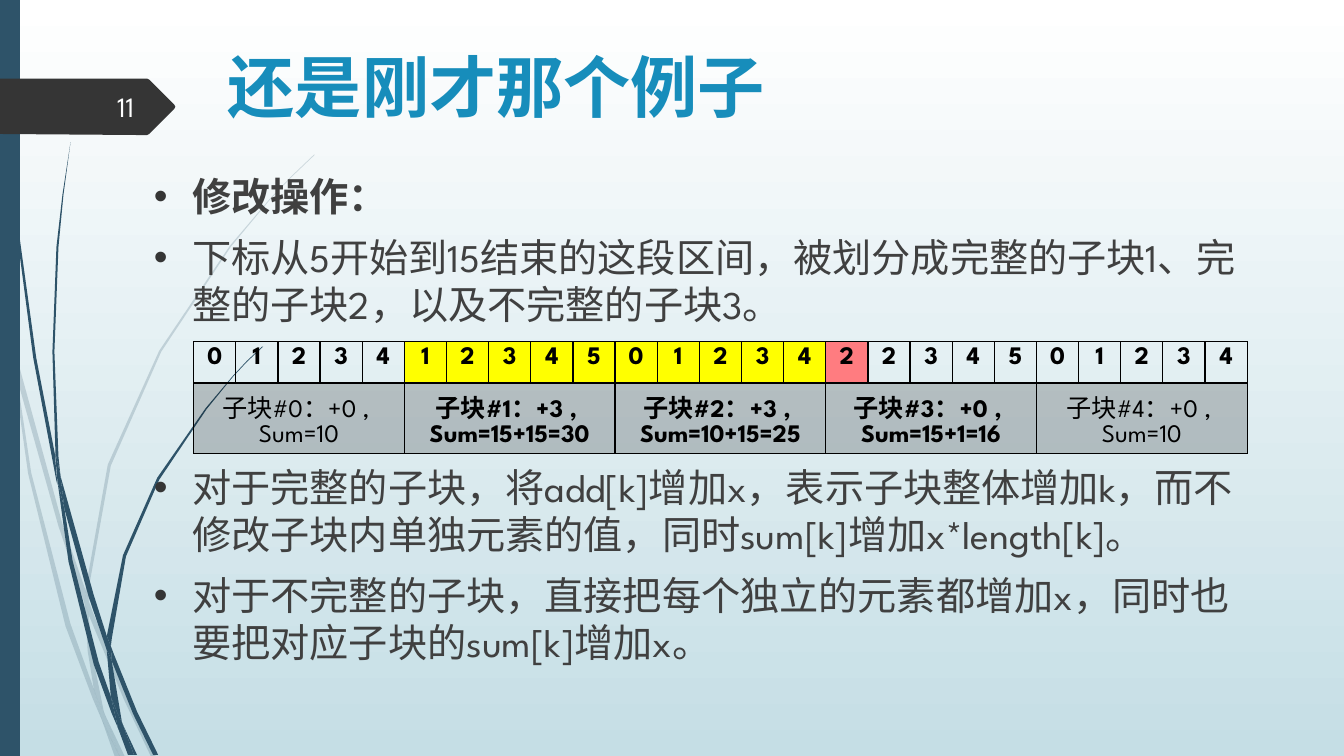
from lxml.etree import SubElement
from pptx import Presentation
from pptx.dml.color import RGBColor
from pptx.enum.shapes import MSO_SHAPE
from pptx.enum.text import MSO_ANCHOR, PP_ALIGN
from pptx.oxml.ns import qn
from pptx.util import Cm, Pt

HUES = {"navy": "2E5369", "dark": "353535", "title": "178DBB", "body": "404040",
        "light": "FEFFFF", "black": "000000", "yellow": "FFFF00", "red": "FF7C80",
        "top": "FFFFFF", "base": "C5DEE5"}
FACE = "League Spartan"

# Outlines in hundredths of an inch: x,y pairs
PALE = [
    "11,350 9,322 0,282 0,299 10,344",
    "58,522 84,599 85,586 62,520 14,345 17,376",
    "92,607 88,596 88,610 123,694 150,751 155,751 127,692",
    "119,751 124,751 105,711",
    "93,683 70,619 31,469 17,376 11,350 28,470 65,621 92,693 101,714 99,707",
    "84,599 87,646 93,683 96,692 105,711 103,706 91,646 88,610 88,608",
    "88,584 110,462 160,349 229,245 268,198 290,175 312,154 312,153 289,175 268,197 "
    "228,244 158,348 107,461 85,584 85,586 88,596",
    "101,714 114,751 119,751",
    "88,608 88,610 88,596 85,586 84,599",
    "96,692 93,683 99,707 101,714 119,751 105,711",
]
DEEP = [
    "7,110 17,233 33,355 56,477 57,481 55,457 55,453 36,355 19,232 8,109 5,48 4,0 3,0 4,48",
    "88,592 106,645 106,633 106,631 93,590 60,472 64,505",
    "113,649 110,641 111,656 132,708 152,749 157,749 136,706",
    "110,691 98,657 72,556 64,505 57,477 68,557 93,659 111,708 117,722 116,717",
    "60,472 58,453 54,349 58,245 63,193 70,141 62,193 56,245 52,349 55,449",
    "133,749 136,749 122,719",
    "57,477 64,505 60,472 55,449 55,453",
    "111,633 125,552 158,476 205,406 231,374 245,359 261,344 260,344 245,358 231,373 "
    "204,405 156,474 122,551 106,631 110,641",
    "117,722 127,749 131,749",
    "106,645 110,691 116,706 122,719 121,716 111,656 109,651",
    "106,645 109,651 111,656 110,641 106,631 106,633",
    "116,706 110,691 116,717 117,722 130,749 133,749 122,719",
]
TAG = "173,108 148,133 146,134 136,134 0,133 0,78 136,78 146,78 148,79 173,104 174,106"

# Body lines: text, bold, space before in points
LINES = [
    ("修改操作：", True, 0),
    ("下标从5开始到15结束的这段区间，被划分成完整的子块1、完整的子块2，以及不完整的子块3。", False, 10),
    ("对于完整的子块，将add[k]增加x，表示子块整体增加k，而不修改子块内单独元素的值，"
     "同时sum[k]增加x*length[k]。", False, 97),
    ("对于不完整的子块，直接把每个独立的元素都增加x，同时也要把对应子块的sum[k]增加x。", False, 10),
]
# Blocks: digits, add, sum, bold
BLOCKS = [("01234", "+0", "10", False), ("12345", "+3", "15+15=30", True),
          ("01234", "+3", "10+15=25", True), ("22345", "+0", "15+1=16", True),
          ("01234", "+0", "10", False)]


def tint(name):
    return RGBColor.from_string(HUES[name])


class Deck:
    def __init__(self):
        self.prs = Presentation()
        self.prs.slide_width, self.prs.slide_height = Cm(33.87), Cm(19.05)
        self.slide = self.prs.slides.add_slide(self.prs.slide_layouts[6])
        self.shapes = self.slide.shapes

    def back(self, top, base):
        fill = self.slide.background.fill
        fill.gradient()
        fill.gradient_angle = 270
        for stop, hue, spot in zip(fill.gradient_stops, (top, base), (0, 1)):
            stop.color.rgb = tint(hue)
            stop.position = spot

    def paint(self, item, root, hue, alpha=None):
        item.fill.solid()
        item.fill.fore_color.rgb = tint(hue)
        if alpha:
            mark = next(root.iter(qn("a:solidFill")))[0]
            SubElement(mark, qn("a:alpha"), val=str(alpha * 1000))

    def plain(self, shape, hue, alpha=None):
        self.paint(shape, shape.element, hue, alpha)
        shape.line.fill.background()
        shape.shadow.inherit = False

    def form(self, data, hue, alpha=None):
        spots = [tuple(map(int, pair.split(","))) for pair in data.split()]
        pen = self.shapes.build_freeform(*spots[0], scale=Cm(2.54) / 100)
        pen.add_line_segments(spots[1:], close=True)
        self.plain(pen.convert_to_shape(), hue, alpha)

    def rect(self, box, hue):
        self.plain(self.shapes.add_shape(MSO_SHAPE.RECTANGLE, *map(Cm, box)), hue)

    def text(self, para, text, hue, **style):
        run = para.add_run()
        run.text = text
        for key, val in {"name": FACE, **style}.items():
            setattr(run.font, key, val)
        run.font.color.rgb = tint(hue)

    def frame(self, box, anchor=MSO_ANCHOR.TOP):
        frame = self.shapes.add_textbox(*map(Cm, box)).text_frame
        frame.word_wrap = True
        frame.vertical_anchor = anchor
        return frame

    def label(self, box, text, hue, align, anchor, **style):
        para = self.frame(box, anchor).paragraphs[0]
        para.alignment = align
        self.text(para, text, hue, **style)

    def items(self, box, lines):
        frame = self.frame(box)
        for num, (text, bold, gap) in enumerate(lines):
            para = frame.add_paragraph() if num else frame.paragraphs[0]
            para.line_spacing, para.space_before = Pt(33.6), Pt(gap)
            props = para._p.get_or_add_pPr()
            props.set("marL", str(Cm(0.97)))
            props.set("indent", str(-Cm(0.97)))
            SubElement(SubElement(props, qn("a:buClr")), qn("a:srgbClr"), val=HUES["dark"])
            SubElement(props, qn("a:buFont"), typeface="Arial")
            SubElement(props, qn("a:buChar"), char="•")
            self.text(para, text, "body", size=Pt(28), bold=bold)

    def edge(self, cell, thick):
        props = cell._tc.get_or_add_tcPr()
        for spot, side in enumerate("LRTB"):
            wide = Pt(2 if side == thick else 1)
            line = SubElement(props, qn("a:ln" + side), w=str(wide))
            SubElement(SubElement(line, qn("a:solidFill")), qn("a:srgbClr"), val=HUES["black"])
            props.insert(spot, line)

    def cell(self, cell, lines, bold):
        frame = cell.text_frame
        for num, text in enumerate(lines):
            para = frame.add_paragraph() if num else frame.paragraphs[0]
            para.alignment = PP_ALIGN.CENTER
            self.text(para, text, "black", size=Pt(18), bold=bold)

    def grid(self, box, blocks, highs):
        count = len(blocks) * 5
        table = self.shapes.add_table(2, count, *map(Cm, box)).table
        table.first_row = table.horz_banding = False
        for row, high in zip(table.rows, highs):
            row.height = Cm(high)
        for col in table.columns:
            col.width = int(Cm(box[2]) / count)
        for num, (digits, add, total, bold) in enumerate(blocks):
            first = num * 5
            for col, digit in enumerate(digits, first):
                cell = table.cell(0, col)
                self.cell(cell, [digit], True)
                if 5 <= col <= 15:
                    self.paint(cell, cell._tc, "red" if col == 15 else "yellow")
                else:
                    cell.fill.background()
                self.edge(cell, "B")
            block = table.cell(1, first)
            block.merge(table.cell(1, first + 4))
            for col in range(first, first + 5):
                part = table.cell(1, col)
                self.paint(part, part._tc.get_or_add_tcPr(), "black", 20)
                self.edge(part, "T")
            self.cell(block, [f"子块#{num}：{add} , ", f"Sum={total}"], bold)


def main():
    deck = Deck()

    # Backdrop: wisps, side bar and page tag
    deck.back("top", "base")
    for data in PALE:
        deck.form(data, "navy", 20)
    for data in DEEP:
        deck.form(data, "navy")
    deck.rect((0, 0, 0.5, 19.05), "navy")
    deck.form(TAG, "dark")

    # Title, body and page number
    deck.label((5.49, 1.02, 26.49, 2.9), "还是刚才那个例子", "title",
               PP_ALIGN.LEFT, MSO_ANCHOR.TOP, size=Pt(48), bold=True)
    deck.items((3.63, 4.22, 28.32, 13.18), LINES)
    deck.label((1.47, 2.18, 2.16, 1.02), "11", "light",
               PP_ALIGN.RIGHT, MSO_ANCHOR.MIDDLE, size=Pt(20))

    # Block table
    deck.grid((4.88, 8.61, 26.57, 2.82), BLOCKS, (1.04, 1.78))
    deck.prs.save("out.pptx")


if __name__ == "__main__":
    main()
